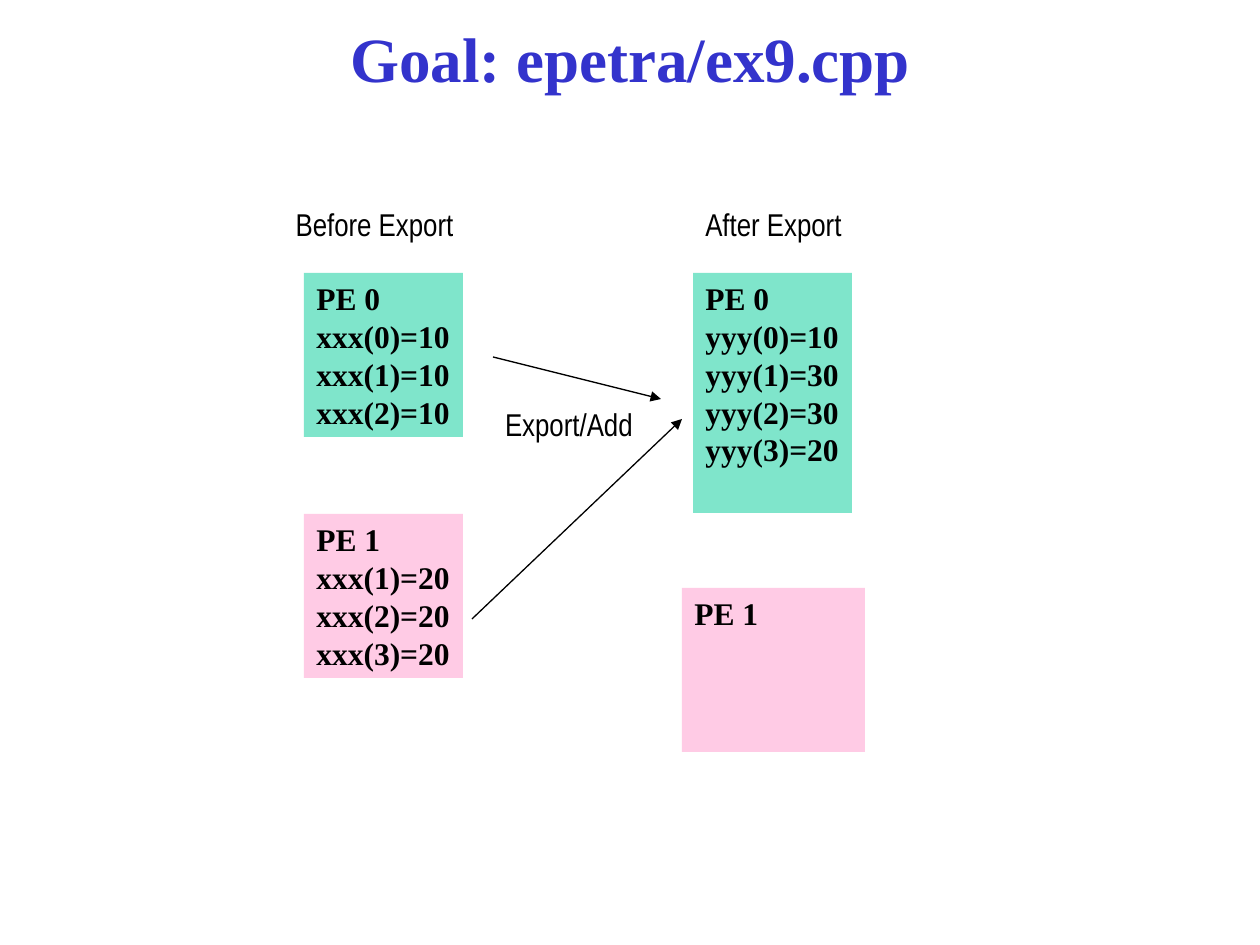
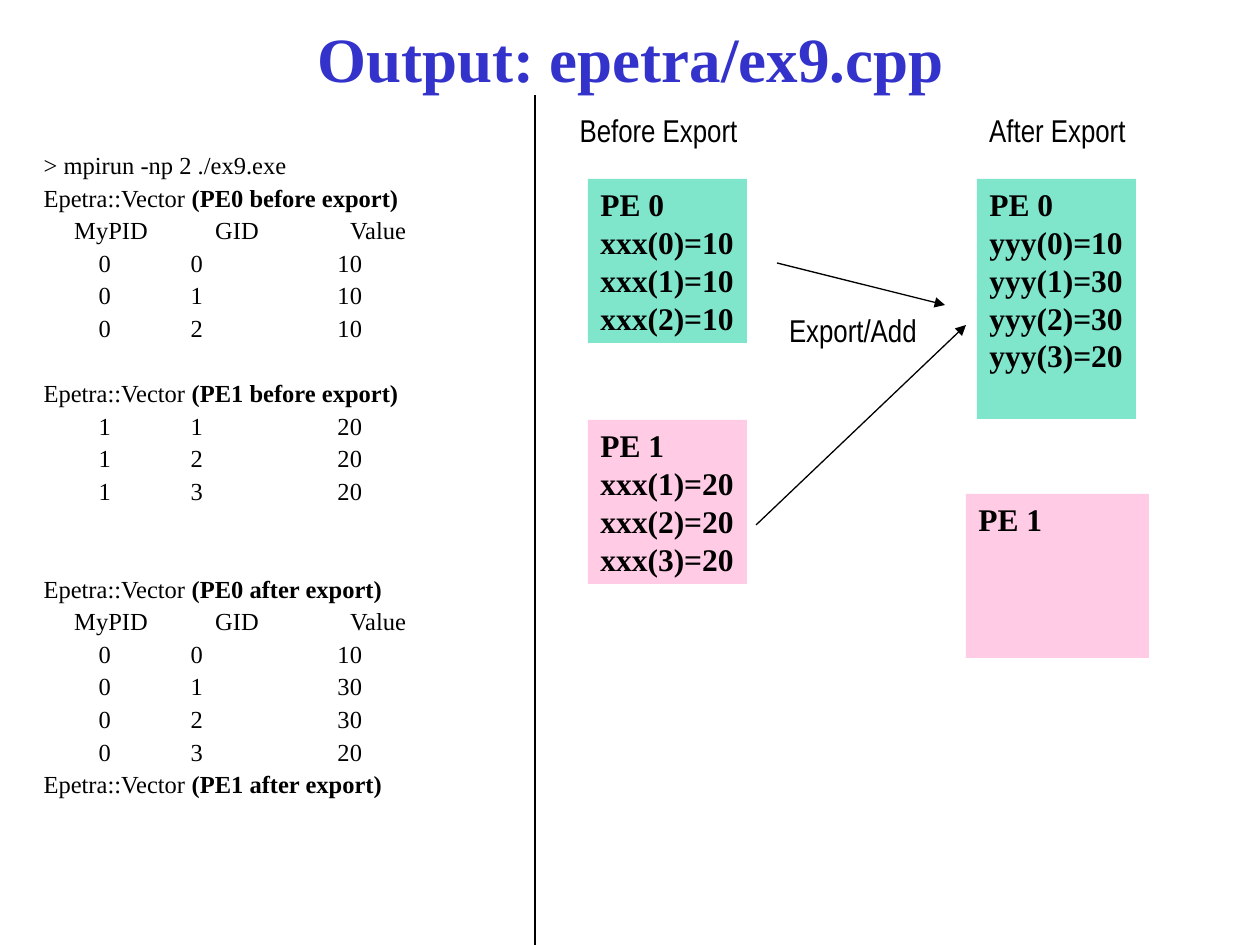
from pptx import Presentation
from pptx.dml.color import RGBColor
from pptx.enum.shapes import MSO_CONNECTOR, MSO_SHAPE
from pptx.enum.text import MSO_ANCHOR, MSO_AUTO_SIZE, PP_ALIGN
from pptx.oxml.ns import qn
from pptx.util import Emu, Pt
from lxml import etree

CENTER, LEFT = PP_ALIGN.CENTER, PP_ALIGN.LEFT
TOP, MIDDLE = MSO_ANCHOR.TOP, MSO_ANCHOR.MIDDLE
NO_AUTOFIT = MSO_AUTO_SIZE.NONE
STRAIGHT = MSO_CONNECTOR.STRAIGHT
RECTANGLE = MSO_SHAPE.RECTANGLE

BLACK = RGBColor(0x00, 0x00, 0x00)
TITLE_BLUE = RGBColor(0x33, 0x33, 0xCC)
PE0_GREEN = RGBColor(0x00, 0xCC, 0x99)
PE1_PINK = RGBColor(0xFF, 0x99, 0xCC)

SERIF = "Times New Roman"
NARROW = "Arial Narrow"
PX_PER_INCH = 126
SLIDE_WIDTH, SLIDE_HEIGHT = 1260, 945
TITLE_BOX = (95, 31, 1071, 53)
LINE_GAP = 3.5
LINE_PITCH = 18.6

HEADER = "     MyPID           GID               Value"
ROW = "         {}             {}                      {}"
OUTPUT_BLOCKS = [
    (0, "(PE0 before export)", True, [(0, 0, 10), (0, 1, 10), (0, 2, 10)]),
    (1, "(PE1 before export)", False, [(1, 1, 20), (1, 2, 20), (1, 3, 20)]),
    (2, "(PE0 after export)", True,
     [(0, 0, 10), (0, 1, 30), (0, 2, 30), (0, 3, 20)]),
    (0, "(PE1 after export)", False, []),
]


def px(length):
    """Turn a length in px into EMU."""
    return Emu(round(length * 914400 / PX_PER_INCH))


def place(shape, box):
    """Move a shape to a box of left, top, width and height."""
    shape.left, shape.top, shape.width, shape.height = map(px, box)


def add_run(paragraph, text, size, font=SERIF, color=BLACK, bold=False):
    """Add one formatted run to a paragraph."""
    run = paragraph.add_run()
    run.text = text
    run.font.name = font
    run.font.size = Pt(size)
    run.font.bold = bold
    run.font.color.rgb = color


def set_title(slide, text):
    """Fill and format the title placeholder."""
    title = slide.shapes.title
    place(title, TITLE_BOX)
    frame = title.text_frame
    frame.auto_size = NO_AUTOFIT
    frame.vertical_anchor = MIDDLE
    paragraph = frame.paragraphs[0]
    paragraph.alignment = CENTER
    add_run(paragraph, text, 36, color=TITLE_BLUE, bold=True)


def add_line(slide, start, end, arrow=False):
    """Draw a thin black line, with an arrowhead at its end if asked."""
    line = slide.shapes.add_connector(STRAIGHT, *map(px, start + end))
    line.line.color.rgb = BLACK
    line.line.width = Pt(0.75)
    properties = line.element.spPr
    if arrow:
        outline = properties.find(qn("a:ln"))
        etree.SubElement(outline, qn("a:tailEnd"), type="triangle")
    etree.SubElement(properties, qn("a:effectLst"))


def add_processor(slide, box, color, lines):
    """Draw a half transparent box listing the values of one processor."""
    shape = slide.shapes.add_shape(RECTANGLE, *map(px, box))
    shape.shadow.inherit = False
    shape.fill.solid()
    shape.fill.fore_color.rgb = color
    tint = shape.element.spPr.find(qn("a:solidFill"))[0]
    etree.SubElement(tint, qn("a:alpha"), val="50000")
    shape.line.fill.background()
    frame = shape.text_frame
    frame.word_wrap = True
    frame.margin_right = 0
    frame.vertical_anchor = TOP
    for index, text in enumerate(lines):
        paragraph = frame.add_paragraph() if index else frame.paragraphs[0]
        paragraph.alignment = LEFT
        add_run(paragraph, text, 18, bold=True)


def add_label(slide, box, text):
    """Add a centred label."""
    frame = slide.shapes.add_textbox(*map(px, box)).text_frame
    frame.word_wrap = True
    frame.margin_left = frame.margin_right = 0
    paragraph = frame.paragraphs[0]
    paragraph.alignment = CENTER
    add_run(paragraph, text, 18, NARROW)


def add_export_diagram(slide, left, top):
    """Draw the vectors before and after the export from a top left corner."""
    processors = [
        ((21, 74, 159, 164), PE0_GREEN,
         ["PE 0"] + [f"xxx({index})=10" for index in range(3)]),
        ((21, 315, 159, 164), PE1_PINK,
         ["PE 1"] + [f"xxx({index})=20" for index in range(1, 4)]),
        ((410, 74, 159, 240), PE0_GREEN,
         ["PE 0", "yyy(0)=10", "yyy(1)=30", "yyy(2)=30", "yyy(3)=20"]),
        ((399, 389, 183, 164), PE1_PINK, ["PE 1"]),
    ]
    for (x, y, width, height), color, lines in processors:
        add_processor(slide, (left + x, top + y, width, height), color, lines)
    for x1, y1, x2, y2 in [(210, 158, 378, 200), (189, 420, 399, 220)]:
        add_line(slide, (left + x1, top + y1), (left + x2, top + y2), True)
    labels = [
        ((210, 200, 152, 50), "Export/Add"),
        ((0, 0, 183, 50), "Before Export"),
        ((410, 0, 161, 50), "After Export"),
    ]
    for (x, y, width, height), text in labels:
        add_label(slide, (left + x, top + y, width, height), text)


def format_output_line(paragraph, space_before):
    """Set the spacing of a line of output and remove its bullet."""
    paragraph.line_spacing = 0.9
    paragraph.space_before = Pt(space_before)
    properties = paragraph._p.get_or_add_pPr()
    properties.set("marL", "0")
    properties.set("indent", "0")
    etree.SubElement(properties, qn("a:buNone"))


def fill_program_output(body, box):
    """Write the program output into the body placeholder."""
    place(body, box)
    frame = body.text_frame
    frame.auto_size = NO_AUTOFIT
    command = frame.paragraphs[0]
    format_output_line(command, 0)
    add_run(command, "> mpirun -np 2 ./ex9.exe", 14)
    for skipped_lines, stage, has_header, rows in OUTPUT_BLOCKS:
        heading = frame.add_paragraph()
        format_output_line(heading, LINE_GAP + skipped_lines * LINE_PITCH)
        add_run(heading, "Epetra::Vector ", 14)
        add_run(heading, stage, 14, bold=True)
        lines = [HEADER] if has_header else []
        for line in lines + [ROW.format(*row) for row in rows]:
            paragraph = frame.add_paragraph()
            format_output_line(paragraph, LINE_GAP)
            add_run(paragraph, line, 14)


def build_goal_slide(presentation):
    """Build the slide that shows the goal of the example."""
    slide = presentation.slides.add_slide(presentation.slide_layouts[5])
    set_title(slide, "Goal: epetra/ex9.cpp")
    add_export_diagram(slide, 283, 199)


def build_output_slide(presentation):
    """Build the slide with the program output beside the diagram."""
    slide = presentation.slides.add_slide(presentation.slide_layouts[1])
    set_title(slide, "Output: epetra/ex9.cpp")
    fill_program_output(slide.placeholders[1], (31, 147, 577, 777))
    add_export_diagram(slide, 567, 105)
    add_line(slide, (535, 95), (535, SLIDE_HEIGHT))


def main():
    """Build and save the presentation."""
    presentation = Presentation()
    presentation.slide_width = px(SLIDE_WIDTH)
    presentation.slide_height = px(SLIDE_HEIGHT)
    build_goal_slide(presentation)
    build_output_slide(presentation)
    presentation.save("out.pptx")


if __name__ == "__main__":
    main()
